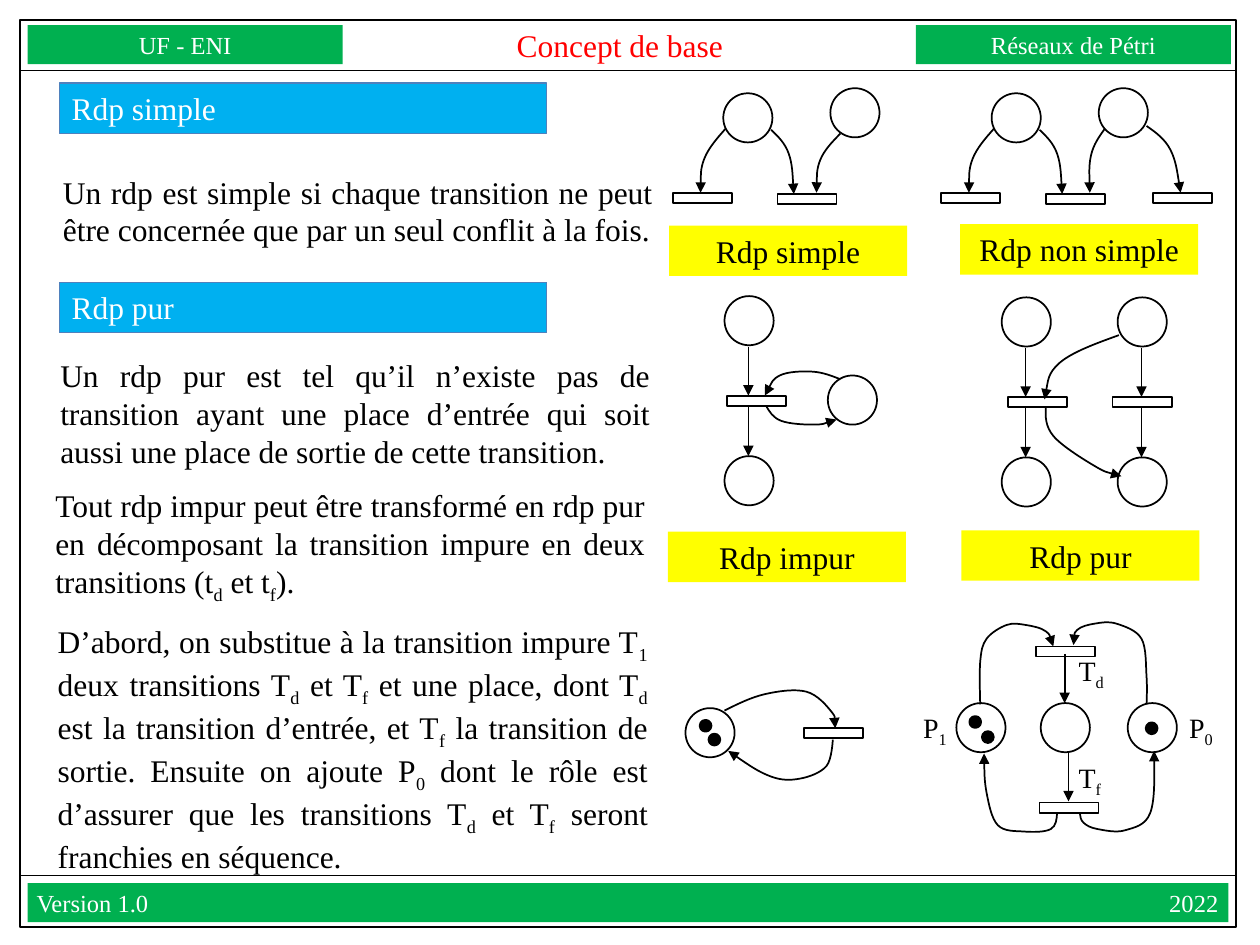
from dataclasses import dataclass

from lxml import etree
from pptx import Presentation
from pptx.dml.color import RGBColor
from pptx.enum import shapes, text
from pptx.oxml.ns import qn
from pptx.util import Inches, Pt

LEFT, CENTER, JUSTIFY = text.PP_ALIGN.LEFT, text.PP_ALIGN.CENTER, text.PP_ALIGN.JUSTIFY
RECT, OVAL = shapes.MSO_SHAPE.RECTANGLE, shapes.MSO_SHAPE.OVAL


@dataclass(frozen=True)
class Theme:
    font: str = "Times New Roman"
    ink: str = "000000"
    light: str = "FFFFFF"
    title: str = "FF0000"
    band: str = "00B050"
    heading: str = "00B0F0"
    heading_edge: str = "4F81BD"
    caption: str = "FFFF00"
    small: int = 14
    label: int = 16
    body: int = 18
    thin: float = 0.75
    stroke: float = 1


THEME = Theme()


def paint(shape, fill=None, line=None, width=THEME.stroke):
    shape.shadow.inherit = False
    if fill:
        shape.fill.solid()
        shape.fill.fore_color.rgb = RGBColor.from_string(fill)
    else:
        shape.fill.background()
    if line:
        shape.line.color.rgb = RGBColor.from_string(line)
        shape.line.width = Pt(width)
    else:
        shape.line.fill.background()


def add_figure(page, kind, box, **look):
    shape = page.shapes.add_shape(kind, *map(Inches, box))
    paint(shape, **look)
    return shape


def write(shape, words, size=THEME.body, color=THEME.ink, align=LEFT,
          middle=False, side=0.1, edge=0.05, tab=None):
    """Fill a shape with one paragraph; an underscore lowers the next character."""
    frame = shape.text_frame
    frame.word_wrap = True
    frame.auto_size = text.MSO_AUTO_SIZE.SHAPE_TO_FIT_TEXT
    frame.vertical_anchor = text.MSO_ANCHOR.MIDDLE if middle else text.MSO_ANCHOR.TOP
    frame.margin_left = frame.margin_right = Inches(side)
    frame.margin_top = frame.margin_bottom = Inches(edge)
    para = frame.paragraphs[0]
    para.alignment = align
    if tab:
        stops = etree.SubElement(para._p.get_or_add_pPr(), qn("a:tabLst"))
        etree.SubElement(stops, qn("a:tab"), pos=str(Inches(tab)), algn="r")
    first, *lowered = words.split("_")
    pieces = [(first, False)]
    for part in lowered:
        pieces += [(part[0], True), (part[1:], False)]
    for piece, is_low in pieces:
        if not piece:
            continue
        span = para.add_run()
        span.text = piece
        span.font.name = THEME.font
        span.font.size = Pt(size)
        span.font.color.rgb = RGBColor.from_string(color)
        if is_low:
            span._r.get_or_add_rPr().set("baseline", "-25000")


def add_text(page, box, words, **style):
    write(page.shapes.add_textbox(*map(Inches, box)), words, **style)


def add_line(page, start, end, width=THEME.stroke):
    line = page.shapes.add_connector(shapes.MSO_CONNECTOR.STRAIGHT,
                                     *map(Inches, (*start, *end)))
    line.line.color.rgb = RGBColor.from_string(THEME.ink)
    line.line.width = Pt(width)
    etree.SubElement(line._element.spPr, qn("a:effectLst"))
    return line


def add_arrowhead(shape, end="tailEnd"):
    etree.SubElement(shape.line._get_or_add_ln(), qn(f"a:{end}"), type="triangle")


def bezier_points(knots):
    """Control and end points of a smooth curve through the knots."""
    def slope(i):
        return [(b - a) / 6 for a, b in zip(knots[i - 1], knots[i + 1])]

    points, last = [], len(knots) - 1
    for i in range(last):
        start, end = knots[i], knots[i + 1]
        after = end if i + 1 == last else [e - s for e, s in zip(end, slope(i + 1))]
        if i:
            before = [p + s for p, s in zip(start, slope(i))]
        else:
            before = [(p + q) / 2 for p, q in zip(start, after)]
        points += [before, after, end]
    return points


@dataclass
class Net:
    """A Petri net whose parts are placed relative to its top left corner."""
    page: object
    left: float
    top: float

    def at(self, x, y):
        return self.left + x, self.top + y

    def place(self, x, y):
        add_figure(self.page, OVAL, (*self.at(x, y), 0.39, 0.39), line=THEME.ink)

    def transition(self, x, y):
        add_figure(self.page, RECT, (*self.at(x, y), 0.47, 0.08), line=THEME.ink)

    def token(self, x, y):
        add_figure(self.page, OVAL, (*self.at(x, y), 0.08, 0.08),
                   fill=THEME.ink, line=THEME.ink, width=2)

    def arrow(self, x, y, length=0.39):
        add_arrowhead(add_line(self.page, self.at(x, y), self.at(x, y + length)))

    def label(self, x, y, words, side=0.1):
        add_text(self.page, (*self.at(x, y), 0.48, 0.37), words,
                 size=THEME.label, align=CENTER, side=side)

    def arc(self, *knots, end="tailEnd"):
        knots = [self.at(*knot) for knot in knots]
        builder = self.page.shapes.build_freeform(*map(Inches, knots[0]))
        builder.add_line_segments([tuple(map(Inches, point)) for point in bezier_points(knots)],
                                  close=False)
        shape = builder.convert_to_shape()
        outline = shape._element.find(".//" + qn("a:path"))
        steps = outline.findall(qn("a:lnTo"))
        for i in range(0, len(steps), 3):
            bend = etree.SubElement(outline, qn("a:cubicBezTo"))
            for step in steps[i:i + 3]:
                bend.append(step[0])
                outline.remove(step)
        paint(shape, line=THEME.ink)
        add_arrowhead(shape, end)

    def column(self, x, bar_shift):
        """Place, transition and place, one under the other."""
        self.place(x, 0)
        self.place(x, 1.27)
        self.transition(x + bar_shift, 0.79)
        for y in (0.4, 0.88):
            self.arrow(x + 0.19, y)


def draw_page_frame(page, left, top, width, height):
    right = left + width
    add_figure(page, RECT, (left, top, width, height), line=THEME.ink)
    for y in (top + 0.4, top + 6.79):
        add_line(page, (left, y), (right, y), THEME.thin)
    style = dict(size=THEME.small, color=THEME.light, middle=True, edge=0)
    for x, words in ((left + 0.06, "UF - ENI"), (right - 2.54, "Réseaux de Pétri")):
        band = add_figure(page, RECT, (x, top + 0.04, 2.5, 0.31), fill=THEME.band)
        write(band, words, align=CENTER, side=0, **style)
    footer = add_figure(page, RECT, (left + 0.06, top + 6.85, 9.53, 0.31), fill=THEME.band)
    write(footer, "Version 1.0\t2022", side=0.07, tab=9.38, **style)
    add_text(page, (left + 3.51, top + 0.04, 2.5, 0.31), "Concept de base",
             color=THEME.title, align=CENTER, middle=True, side=0, edge=0)


def draw_heading(page, left, top, words):
    box = add_figure(page, RECT, (left, top, 3.87, 0.4), fill=THEME.heading,
                     line=THEME.heading_edge, width=THEME.thin)
    write(box, words, color=THEME.light)


def draw_caption(page, left, top, words):
    box = add_figure(page, RECT, (left, top, 1.89, 0.4), fill=THEME.caption)
    write(box, words, align=CENTER)


def draw_conflict_net(page, left, top, is_simple):
    net = Net(page, left, top)
    net.place(0.4, 0.04)
    net.place(1.25, 0)
    net.transition(0, 0.83)
    net.transition(0.83, 0.84)
    net.arc((0.42, 0.32), (0.25, 0.56), (0.22, 0.83))
    net.arc((0.78, 0.33), (0.92, 0.52), (0.96, 0.84))
    if is_simple:
        net.arc((1.33, 0.36), (1.17, 0.57), (1.14, 0.83))
    else:
        net.transition(1.68, 0.83)
        net.arc((1.3, 0.32), (1.19, 0.53), (1.18, 0.83))
        net.arc((1.63, 0.3), (1.82, 0.49), (1.9, 0.83))


def draw_impure_net(page, left, top):
    net = Net(page, left, top)
    net.column(0, 0.02)
    net.place(0.82, 0.63)
    net.arc((0.92, 0.66), (0.7, 0.6), (0.44, 0.63), (0.32, 0.79))
    net.arc((0.33, 0.87), (0.45, 0.99), (0.72, 1.02), (0.89, 0.98))


def draw_pure_net(page, left, top):
    net = Net(page, left, top)
    net.column(0, 0.05)
    net.column(0.92, -0.04)
    net.arc((0.93, 0.3), (0.46, 0.52), (0.34, 0.81))
    net.arc((0.35, 0.87), (0.41, 1.1), (0.74, 1.34), (0.95, 1.42))


def draw_loop_net(page, left, top):
    net = Net(page, left, top)
    net.transition(0.94, 0.31)
    net.place(0, 0.15)
    net.token(0.19, 0.36)
    net.token(0.12, 0.25)
    net.arc((0.31, 0.17), (0.63, 0.04), (0.96, 0.02), (1.16, 0.18), (1.19, 0.31))
    net.arc((0.34, 0.49), (0.67, 0.69), (0.91, 0.71), (1.12, 0.61), (1.17, 0.4), end="headEnd")


def draw_split_net(page, left, top):
    net = Net(page, left, top)
    for x in (0.41, 1.08, 1.77):
        net.place(x, 0.65)
    net.transition(1.04, 0.2)
    net.transition(1.07, 1.44)
    net.arrow(1.27, 0.26)
    net.arrow(1.3, 1.04)
    for x, y in ((0.52, 0.76), (0.62, 0.88), (1.92, 0.81)):
        net.token(x, y)
    net.arc((1.21, 1.52), (1.16, 1.65), (0.95, 1.67), (0.74, 1.62), (0.65, 1.36), (0.63, 1.05))
    net.arc((1.39, 1.52), (1.42, 1.6), (1.53, 1.65), (1.75, 1.66), (1.95, 1.52), (1.98, 1.03))
    net.arc((1.34, 0.19), (1.37, 0.07), (1.51, 0.02), (1.68, 0.02), (1.88, 0.14),
            (1.92, 0.44), (1.92, 0.66), end="headEnd")
    net.arc((1.18, 0.2), (1.12, 0.08), (0.96, 0.03), (0.81, 0.03), (0.65, 0.14),
            (0.6, 0.32), (0.6, 0.66), end="headEnd")
    net.label(1.24, 0.21, "T_d", side=0)
    net.label(1.23, 1.06, "T_f", side=0)
    net.label(0, 0.66, "P_1")
    net.label(2.11, 0.66, "P_0")


PARAGRAPHS = (
    (0.4, 1.32, 0.71, "Un rdp est simple si chaque transition ne peut être concernée que par un "
     "seul conflit à la fois."),
    (0.38, 2.78, 1.01, "Un rdp pur est tel qu’il n’existe pas de transition ayant une place "
     "d’entrée qui soit aussi une place de sortie de cette transition."),
    (0.34, 3.81, 1.01, "Tout rdp impur peut être transformé en rdp pur en décomposant la "
     "transition impure en deux transitions (t_d et t_f)."),
    (0.36, 4.89, 1.92, "D’abord, on substitue à la transition impure T_1 deux transitions T_d et "
     "T_f et une place, dont T_d est la transition d’entrée, et T_f la transition de sortie. "
     "Ensuite on ajoute P_0 dont le rôle est d’assurer que les transitions T_d et T_f seront "
     "franchies en séquence."),
)


def main():
    deck = Presentation()
    deck.slide_width, deck.slide_height = Inches(10), Inches(7.5)
    page = deck.slides.add_slide(deck.slide_layouts[6])
    draw_page_frame(page, 0.16, 0.16, 9.65, 7.2)
    draw_heading(page, 0.47, 0.66, "Rdp simple")
    draw_heading(page, 0.47, 2.24, "Rdp pur")
    for left, top, height, words in PARAGRAPHS:
        add_text(page, (left, top, 4.88, height), words, align=JUSTIFY)
    draw_conflict_net(page, 5.34, 0.7, is_simple=True)
    draw_conflict_net(page, 7.47, 0.7, is_simple=False)
    draw_caption(page, 5.31, 1.79, "Rdp simple")
    draw_caption(page, 7.62, 1.78, "Rdp non simple")
    draw_impure_net(page, 5.75, 2.35)
    draw_pure_net(page, 7.95, 2.36)
    draw_caption(page, 5.3, 4.22, "Rdp impur")
    draw_caption(page, 7.63, 4.21, "Rdp pur")
    draw_loop_net(page, 5.44, 5.47)
    draw_split_net(page, 7.18, 4.93)
    deck.save("out.pptx")


if __name__ == "__main__":
    main()
